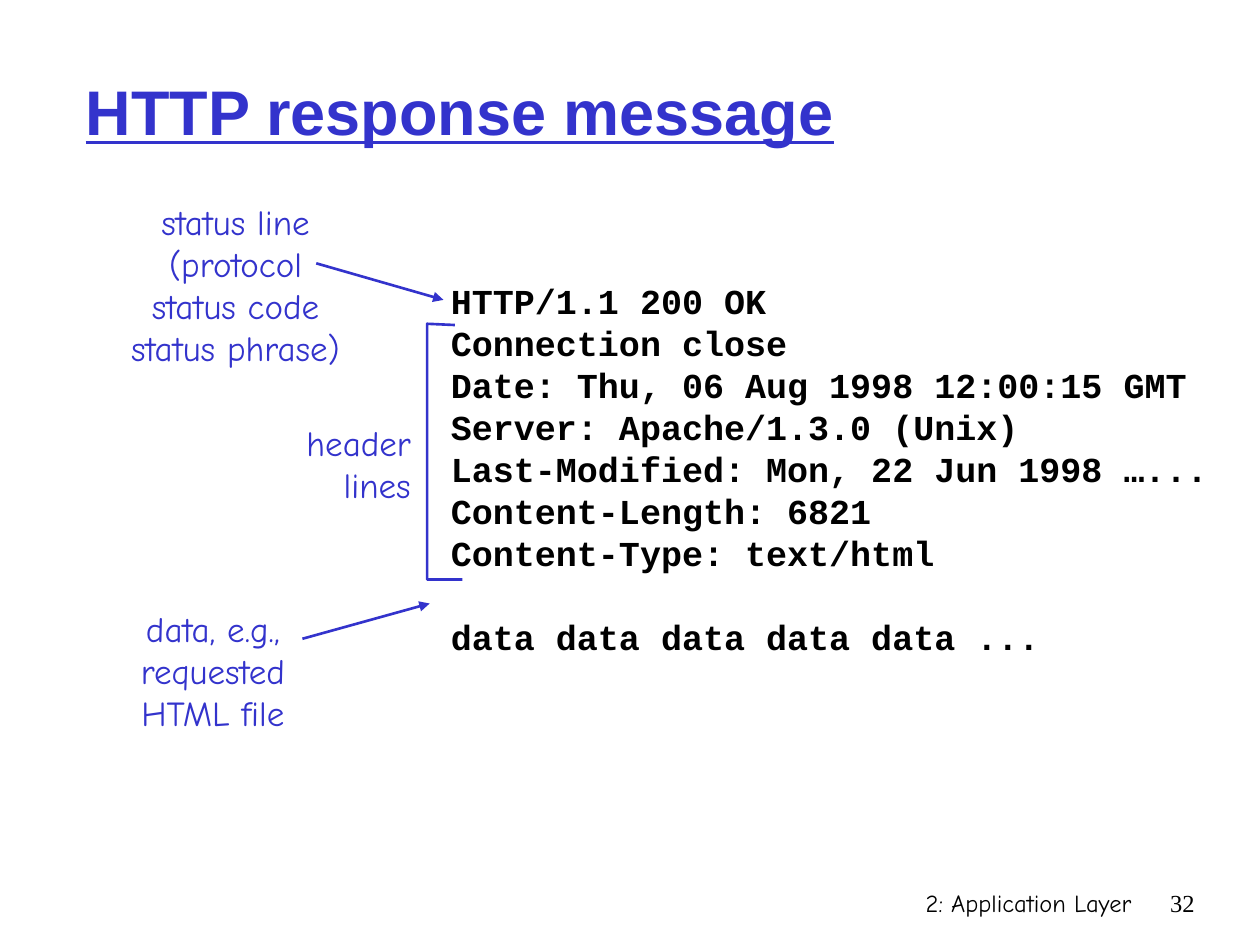
from lxml import etree
from pptx import Presentation
from pptx.dml.color import RGBColor
from pptx.enum import shapes, text
from pptx.oxml import ns
from pptx.util import Inches, Pt

COLORS = {"accent": "3333CC", "body": "000000", "background": "FFFFFF"}
HAND, CODE, NUMBER, TITLE = "Comic Neue", "Courier New", "Times New Roman", "Arial"
ALIGN = text.PP_ALIGN

RESPONSE_HEAD = [
    "HTTP/1.1 200 OK",
    "Connection close",
    "Date: Thu, 06 Aug 1998 12:00:15 GMT",
    "Server: Apache/1.3.0 (Unix)",
    "Last-Modified: Mon, 22 Jun 1998 …...",
    "Content-Length: 6821",
    "Content-Type: text/html",
]
RESPONSE_BODY = "data data data data data ..."
LINE_PITCH = Pt(24)


def color(name):
    return RGBColor.from_string(COLORS[name])


def style(paragraph, font_name, size, color_name, bold=False, underline=False):
    for run in paragraph.runs:
        font = run.font
        font.name, font.size = font_name, Pt(size)
        font.bold, font.underline = bold, underline
        font.color.rgb = color(color_name)


def add_text(slide, box, lines, font_name, size, color_name,
             align=ALIGN.LEFT, bold=False, pitch=None, wrap=False):
    """Place one paragraph per line in a text box and return its frame."""
    frame = slide.shapes.add_textbox(*map(Inches, box)).text_frame
    frame.word_wrap = wrap
    frame.text = "\n".join(lines)
    for paragraph in frame.paragraphs:
        paragraph.alignment = align
        if pitch:
            paragraph.line_spacing = pitch
        style(paragraph, font_name, size, color_name, bold)
    return frame


def add_title(slide, box, title_text):
    title = slide.shapes.title
    title.left, title.top, title.width, title.height = map(Inches, box)
    frame = title.text_frame
    frame.text = title_text
    frame.vertical_anchor = text.MSO_ANCHOR.MIDDLE
    frame.paragraphs[0].alignment = ALIGN.LEFT
    style(frame.paragraphs[0], TITLE, 36, "accent", bold=True, underline=True)


def add_response(slide, box):
    frame = add_text(slide, box, RESPONSE_HEAD + [RESPONSE_BODY], CODE, 20, "body",
                     bold=True, pitch=LINE_PITCH)
    frame.paragraphs[-1].space_before = LINE_PITCH


def add_label(slide, box, lines, align):
    add_text(slide, box, lines, HAND, 20, "accent", align, pitch=LINE_PITCH)


def add_arrow(slide, start, end):
    arrow = slide.shapes.add_connector(
        shapes.MSO_CONNECTOR.STRAIGHT, *map(Inches, start + end))
    arrow.line.color.rgb = color("accent")
    arrow.line.width = Pt(1.5)
    head = etree.SubElement(arrow.line._get_or_add_ln(), ns.qn("a:tailEnd"))
    head.set("type", "triangle")
    etree.SubElement(arrow._element.spPr, ns.qn("a:effectLst"))


def add_bracket(slide, box):
    """Draw a square bracket open to the right, its upper arm slightly shorter."""
    left, top, width, height = box
    right, bottom = left + width, top + height
    builder = slide.shapes.build_freeform(
        Inches(right - 0.06), Inches(top + 0.01), scale=1.0)
    corners = [(left, top), (left, bottom), (right, bottom)]
    builder.add_line_segments(
        [(Inches(x), Inches(y)) for x, y in corners], close=False)
    bracket = builder.convert_to_shape()
    bracket.shadow.inherit = False
    bracket.fill.background()
    bracket.line.color.rgb = color("accent")
    bracket.line.width = Pt(1.5)


def add_footer(slide, box, chapter, number):
    left, top, width, height = box
    number_width = 0.5
    chapter_width = width - number_width
    add_text(slide, (left, top, chapter_width, height), [chapter],
             HAND, 14, "body", ALIGN.RIGHT, wrap=True)
    add_text(slide, (left + chapter_width, top, number_width, height), [number],
             NUMBER, 14, "body", ALIGN.RIGHT, wrap=True)


def main():
    presentation = Presentation()
    presentation.slide_width, presentation.slide_height = Inches(10), Inches(7.5)
    slide = presentation.slides.add_slide(presentation.slide_layouts[5])
    slide.background.fill.solid()
    slide.background.fill.fore_color.rgb = color("background")

    add_title(slide, (0.58, 0.25, 8.5, 1.25), "HTTP response message")
    add_response(slide, (3.48, 2.17, 6.37, 3.1))
    add_label(slide, (0.83, 1.54, 2.08, 1.43),
              ["status line", "(protocol", "status code", "status phrase)"], ALIGN.CENTER)
    add_arrow(slide, (2.51, 2.09), (3.52, 2.38))
    add_bracket(slide, (3.39, 2.57, 0.28, 2.03))
    add_label(slide, (2.25, 3.3, 1.11, 0.77), ["header", "lines"], ALIGN.RIGHT)
    add_arrow(slide, (2.4, 5.07), (3.41, 4.79))
    add_label(slide, (0.92, 4.77, 1.54, 1.1),
              ["data, e.g.,", "requested", "HTML file"], ALIGN.CENTER)
    add_footer(slide, (5.92, 7, 3.66, 0.5), "2: Application Layer", "32")
    presentation.save("out.pptx")


if __name__ == "__main__":
    main()
